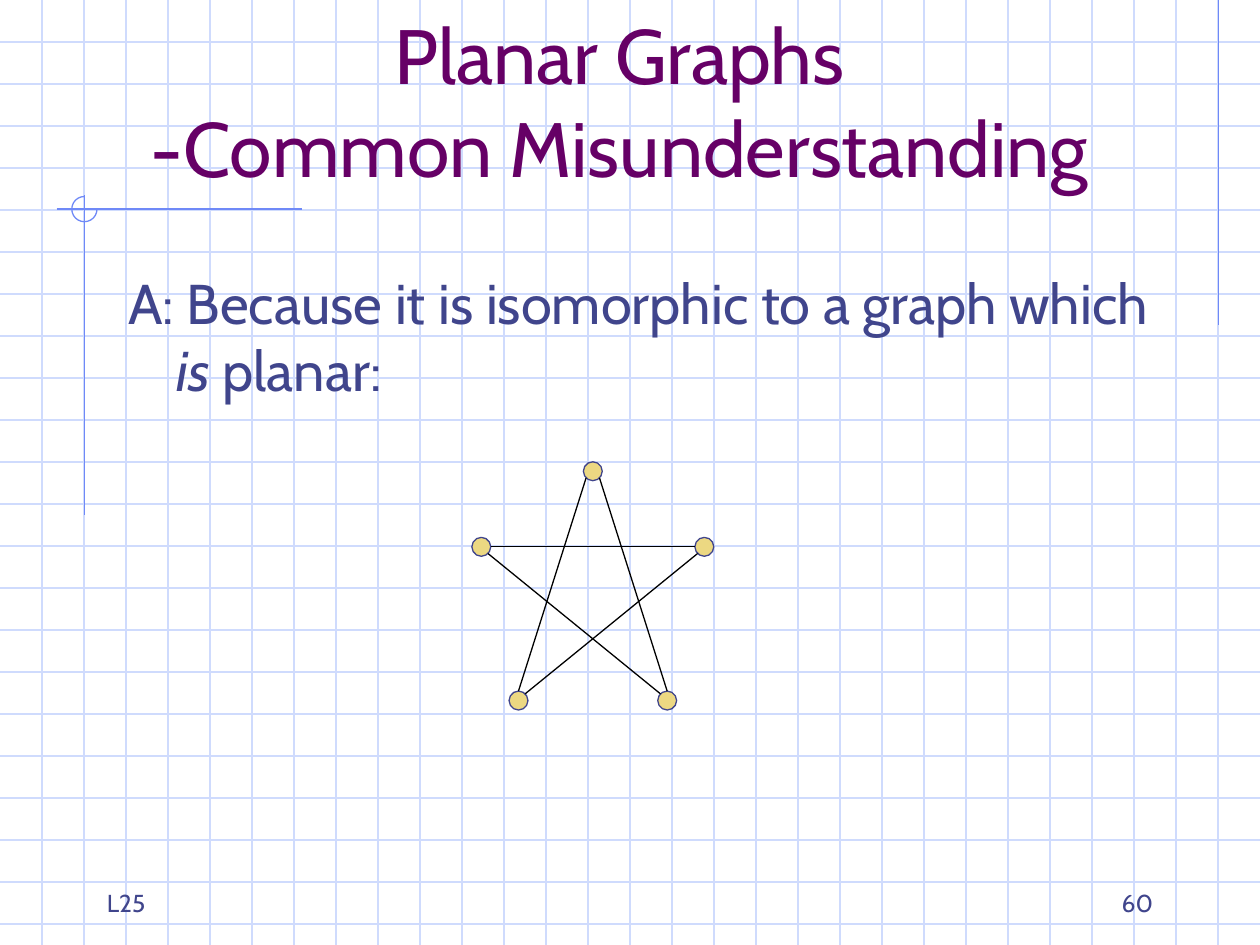
from dataclasses import dataclass
from math import cos, radians, sin

from lxml import etree
from pptx import Presentation
from pptx.dml.color import RGBColor
from pptx.enum.shapes import MSO_CONNECTOR, MSO_SHAPE
from pptx.enum.text import MSO_ANCHOR, MSO_AUTO_SIZE, PP_ALIGN
from pptx.oxml.ns import qn
from pptx.util import Inches, Pt

STRAIGHT = MSO_CONNECTOR.STRAIGHT
ARC, OVAL = MSO_SHAPE.ARC, MSO_SHAPE.OVAL
LEFT, CENTER, RIGHT = PP_ALIGN.LEFT, PP_ALIGN.CENTER, PP_ALIGN.RIGHT
TOP, BOTTOM = MSO_ANCHOR.TOP, MSO_ANCHOR.BOTTOM
NO_AUTOFIT = MSO_AUTO_SIZE.NONE
TITLE_ONLY = 5


@dataclass(frozen=True)
class Theme:
    font: str = "Cabin"
    title: RGBColor = RGBColor(0x66, 0x00, 0x66)
    text: RGBColor = RGBColor(0x40, 0x45, 0x8C)
    grid: RGBColor = RGBColor(0xCF, 0xDB, 0xFD)
    accent: RGBColor = RGBColor(0x6F, 0x89, 0xF7)
    node: RGBColor = RGBColor(0xEC, 0xD8, 0x82)
    edge: RGBColor = RGBColor(0x00, 0x00, 0x00)
    title_size: Pt = Pt(44)
    body_size: Pt = Pt(32)
    footer_size: Pt = Pt(14)
    line_width: Pt = Pt(0.75)


THEME = Theme()


def add_line(page, start, end, color):
    line = page.shapes.add_connector(
        STRAIGHT, *(Inches(value) for value in (*start, *end)))
    line.line.color.rgb = color
    line.line.width = THEME.line_width
    etree.SubElement(line._element.spPr, qn("a:effectLst"))


def add_round_shape(page, kind, center, radius, color):
    x, y = center
    shape = page.shapes.add_shape(
        kind, Inches(x - radius), Inches(y - radius),
        Inches(2 * radius), Inches(2 * radius))
    shape.shadow.inherit = False
    shape.line.color.rgb = color
    shape.line.width = THEME.line_width
    return shape


def place(shape, box):
    shape.left, shape.top, shape.width, shape.height = (
        Inches(value) for value in box)


def format_text(shape, size, color, align, anchor):
    frame = shape.text_frame
    frame.word_wrap = True
    frame.auto_size = NO_AUTOFIT
    frame.vertical_anchor = anchor
    for para in frame.paragraphs:
        para.alignment = align
        for span in para.runs:
            span.font.name = THEME.font
            span.font.size = size
            span.font.color.rgb = color


def add_text_box(page, box):
    return page.shapes.add_textbox(*(Inches(value) for value in box))


def add_grid(page, box):
    left, top, width, height = box
    for row in range(1, int(height * 3) + 1):
        y = top + row / 3
        add_line(page, (left, y), (left + width, y), THEME.grid)
    for column in range(1, int(width * 3)):
        x = left + column / 3
        add_line(page, (x, top), (x, top + height), THEME.grid)


def add_accents(page, box):
    """Draw the margin lines and the open circle where two of them cross."""
    left, top, width, _ = box
    x, y, radius = left + 0.67, top + 1.66, 0.1
    right = left + width - 0.33
    add_line(page, (right, top), (right, top + 2.58), THEME.accent)
    add_line(page, (left + 0.45, y), (left + 2.4, y), THEME.accent)
    add_line(page, (x, top + 1.55), (x, top + 4.09), THEME.accent)
    circle = add_round_shape(page, ARC, (x, y), radius, THEME.accent)
    circle.adjustments[0] = 0
    circle.adjustments[1] = 162  # 270 degrees
    circle.fill.background()


def add_title(page, box):
    title = page.shapes.title
    place(title, box)
    title.text_frame.text = "Planar Graphs\v-Common Misunderstanding"
    format_text(title, THEME.title_size, THEME.title, CENTER, BOTTOM)
    page.shapes._spTree.append(title._element)  # above the grid


def add_body(page, box):
    body = add_text_box(page, box)
    para = body.text_frame.paragraphs[0]
    properties = para._p.get_or_add_pPr()
    properties.set("marL", str(Inches(0.38)))
    properties.set("indent", str(-Inches(0.38)))
    for text in ("A: Because it is isomorphic to a graph which ", "is", " planar:"):
        span = para.add_run()
        span.text = text
        span.font.italic = text == "is"
    format_text(body, THEME.body_size, THEME.text, LEFT, TOP)


def add_star(page, box):
    """Draw a five-node cycle as a star, each edge meeting the node rims."""
    left, top, width, height = box
    radius = 0.075
    center = left + width / 2
    bottom, middle = top + height, top + 0.6
    foot = 0.59
    nodes = {
        "top": (center, top),
        "left": (left, middle),
        "right": (left + width, middle),
        "bottom left": (center - foot, bottom),
        "bottom right": (center + foot, bottom),
    }
    # Each end is a node and the angle on its rim, clockwise from the right.
    edges = [
        (("left", 0), ("right", 180)),
        (("bottom left", 315), ("right", 135)),
        (("bottom right", 225), ("left", 45)),
        (("top", 135), ("bottom left", 270)),
        (("top", 45), ("bottom right", 270)),
    ]

    def rim(name, angle):
        x, y = nodes[name]
        return (x + radius * cos(radians(angle)), y + radius * sin(radians(angle)))

    for node in nodes.values():
        dot = add_round_shape(page, OVAL, node, radius, THEME.text)
        dot.fill.solid()
        dot.fill.fore_color.rgb = THEME.node
    for start, end in edges:
        add_line(page, rim(*start), rim(*end), THEME.edge)


def add_footer(page, box):
    left, top, width, height = box
    part_width = 2.08
    parts = [("L25", left, LEFT), ("60", left + width - part_width, RIGHT)]
    for text, x, align in parts:
        label = add_text_box(page, (x, top, part_width, height))
        label.text_frame.text = text
        format_text(label, THEME.footer_size, THEME.text, align, BOTTOM)


def main():
    deck = Presentation()
    deck.slide_width, deck.slide_height = Inches(10), Inches(7.5)
    page = deck.slides.add_slide(deck.slide_layouts[TITLE_ONLY])
    whole = (0, 0, 10, 7.5)
    add_grid(page, whole)
    add_accents(page, whole)
    add_title(page, (0.67, 0.33, 8.5, 1.25))
    add_body(page, (0.92, 2.08, 8.5, 4.5))
    add_star(page, (3.82, 3.74, 1.77, 1.82))
    add_footer(page, (0.75, 6.83, 8.5, 0.5))
    deck.save("out.pptx")


if __name__ == "__main__":
    main()
